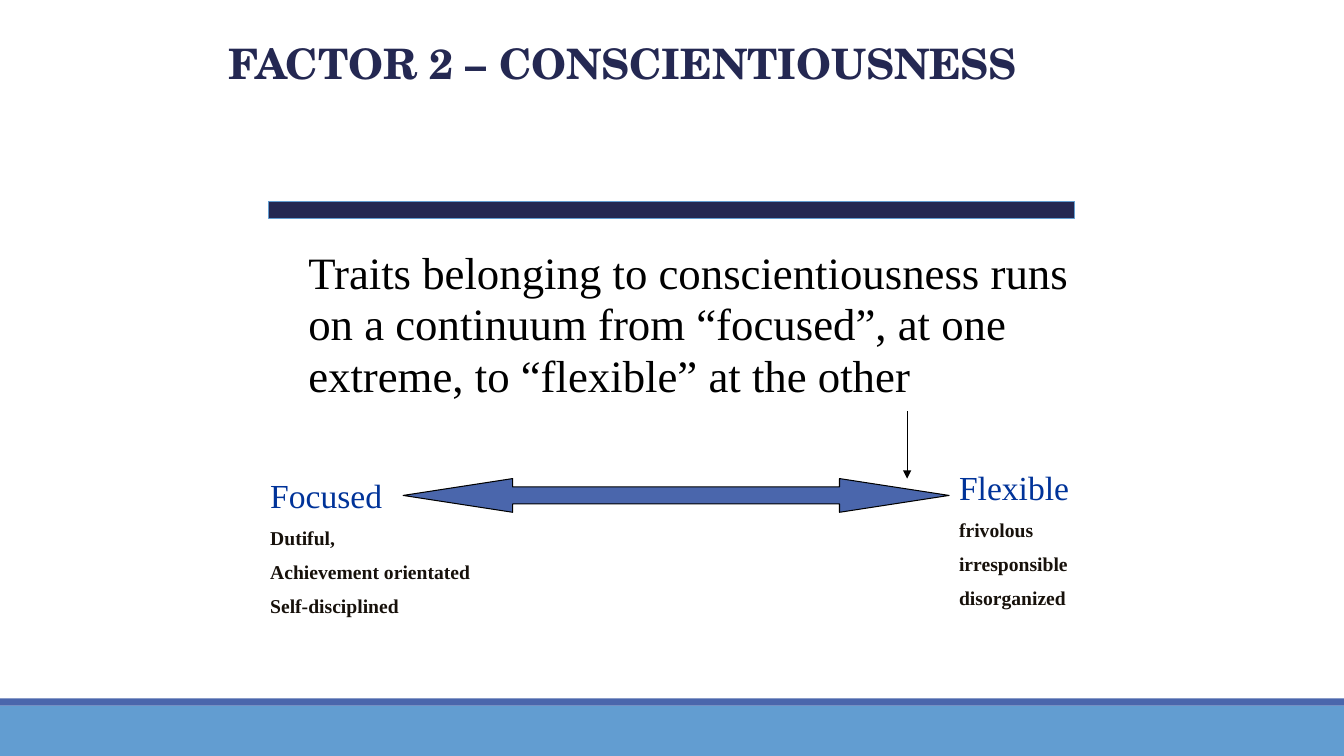
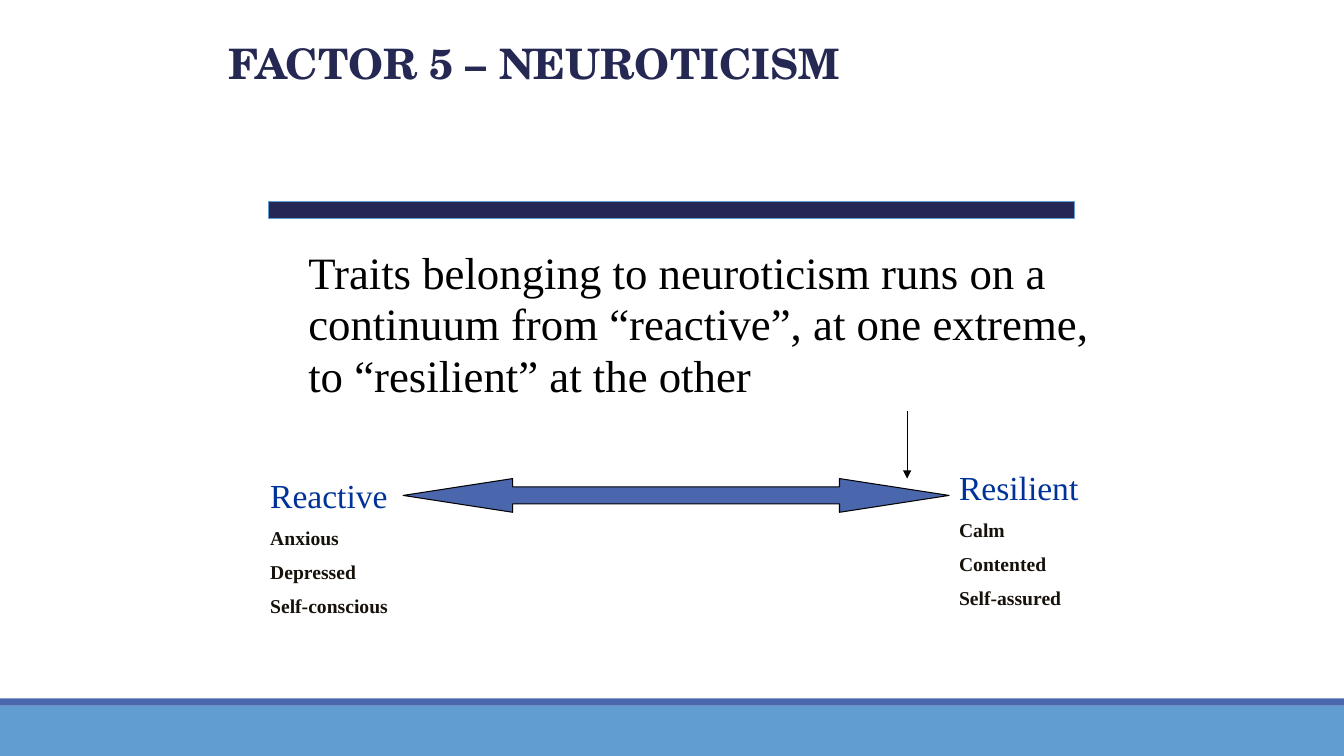
import pptx
import pptx.util
import pptx.dml.color
import pptx.enum.shapes
import pptx.enum.text
from lxml import etree

Cm = pptx.util.Cm
Pt = pptx.util.Pt
MSO_SHAPE = pptx.enum.shapes.MSO_SHAPE
COLORS = {
    "navy": "242852",
    "blue": "4A66AC",
    "sky": "629DD1",
    "black": "000000",
    "pole": "003399",
    "trait": "17110B",
}
SERIF = "Times New Roman"
TITLE_FONT = "TeX Gyre Schola"
WIDTH, HEIGHT = 33.87, 19.05

FACTORS = [
    {
        "title": "FACTOR 2 – CONSCIENTIOUSNESS",
        "body": "Traits belonging to conscientiousness runs on a continuum from "
                "“focused”, at one extreme, to “flexible” at the other",
        "left": ["Focused", "Dutiful,", "Achievement orientated", "Self-disciplined"],
        "right": ["Flexible", "frivolous", "irresponsible", "disorganized"],
    },
    {
        "title": "FACTOR 5 – NEUROTICISM",
        "body": "Traits belonging to neuroticism runs on a continuum from "
                "“reactive”, at one extreme, to “resilient” at the other",
        "left": ["Reactive", "Anxious", "Depressed", "Self-conscious"],
        "right": ["Resilient", "Calm", "Contented", "Self-assured"],
    },
]
TITLE_STYLE = (30, TITLE_FONT, "navy", True)
BODY_STYLE = (32, SERIF, "black", False)
POLE_STYLE = (24, SERIF, "pole", False)
TRAIT_STYLE = (14, SERIF, "trait", True)


def add_block(s, kind, box, fill, line=None):
    sp = s.shapes.add_shape(kind, *[Cm(v) for v in box])
    sp.shadow.inherit = False
    sp.fill.solid()
    sp.fill.fore_color.rgb = pptx.dml.color.RGBColor.from_string(COLORS[fill])
    if line:
        sp.line.color.rgb = pptx.dml.color.RGBColor.from_string(COLORS[line])
        sp.line.width = Pt(0.75)
    else:
        sp.line.fill.background()
    return sp


def add_text(s, box, lines):
    tf = s.shapes.add_textbox(*[Cm(v) for v in box]).text_frame
    tf.word_wrap = True
    for i, (text, (size, font, color, bold)) in enumerate(lines):
        p = tf.paragraphs[0] if i == 0 else tf.add_paragraph()
        if i:
            p.space_before = Pt(7.5)
        r = p.add_run()
        r.text = text
        r.font.size = Pt(size)
        r.font.name = font
        r.font.bold = bold
        r.font.color.rgb = pptx.dml.color.RGBColor.from_string(COLORS[color])
    return tf


prs = pptx.Presentation()
prs.slide_width = Cm(WIDTH)
prs.slide_height = Cm(HEIGHT)

for factor in FACTORS:
    s = prs.slides.add_slide(prs.slide_layouts[6])

    add_block(s, MSO_SHAPE.RECTANGLE, (0, 17.78, WIDTH, 1.27), "sky")
    add_block(s, MSO_SHAPE.RECTANGLE, (0, 17.6, WIDTH, 0.18), "blue")

    tf = add_text(s, (5.5, 0, 22.86, 2.33), [(factor["title"], TITLE_STYLE)])
    tf.vertical_anchor = pptx.enum.text.MSO_ANCHOR.BOTTOM
    add_block(s, MSO_SHAPE.RECTANGLE, (6.77, 5.08, 20.32, 0.42), "navy", "sky")

    tf = add_text(s, (6.56, 6.15, 21.59, 4.2), [(factor["body"], BODY_STYLE)])
    p = tf.paragraphs[0]
    p.line_spacing = 0.95
    p._p.get_or_add_pPr().set("marL", str(Cm(0.96)))

    for side, box in (("left", (6.56, 11.85, 5.93, 3.99)),
                      ("right", (23.92, 11.64, 5.72, 3.99))):
        pole, *traits = factor[side]
        add_text(s, box, [(pole, POLE_STYLE)] + [(t, TRAIT_STYLE) for t in traits])

    arrow = add_block(s, MSO_SHAPE.LEFT_RIGHT_ARROW, (10.16, 12.06, 13.76, 0.85),
                      "blue", "black")
    arrow.adjustments[0] = 0.5
    arrow.adjustments[1] = 3.25

    pointer = s.shapes.add_connector(pptx.enum.shapes.MSO_CONNECTOR.STRAIGHT,
                                     Cm(22.86), Cm(10.37), Cm(22.86), Cm(12.06))
    pointer.line.color.rgb = pptx.dml.color.RGBColor.from_string(COLORS["black"])
    pointer.line.width = Pt(0.75)
    ln = pointer.line._get_or_add_ln()
    etree.SubElement(ln, pptx.oxml.ns.qn("a:tailEnd"), type="triangle")
    etree.SubElement(pointer._element.spPr, pptx.oxml.ns.qn("a:effectLst"))

prs.save("out.pptx")
